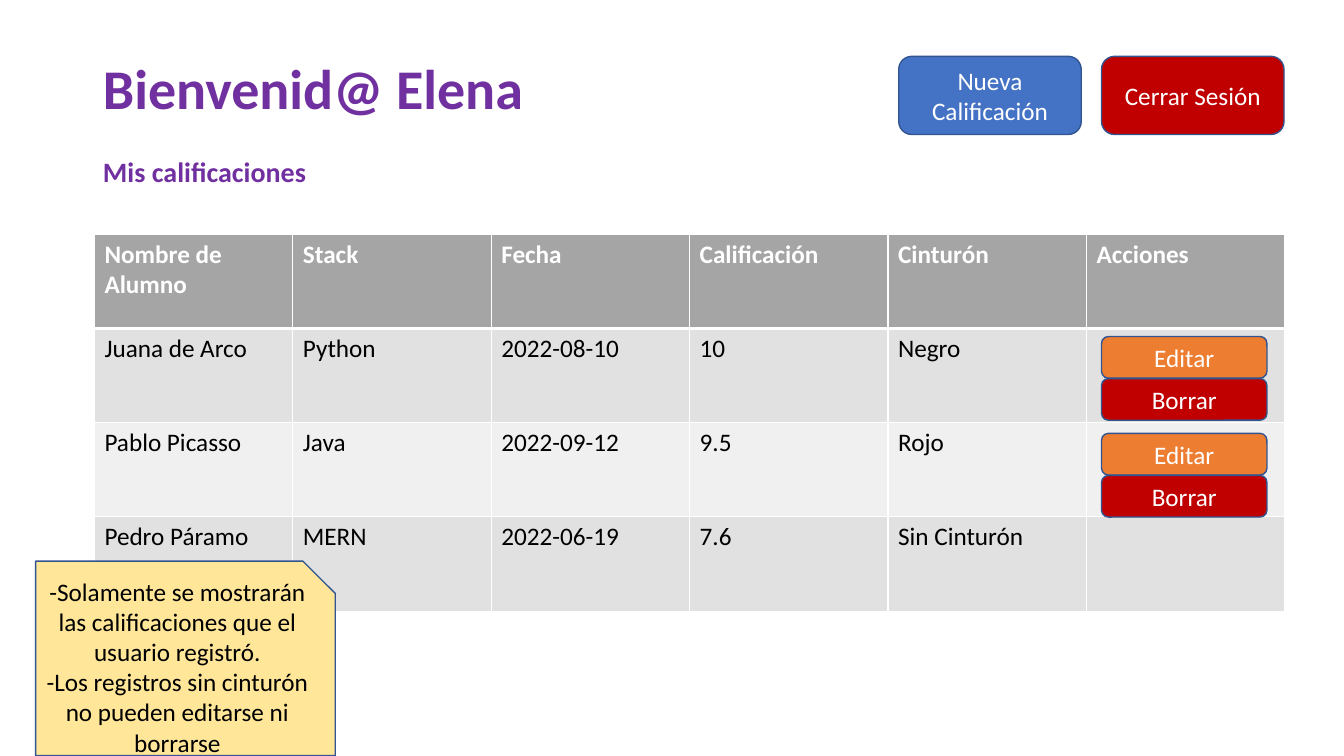
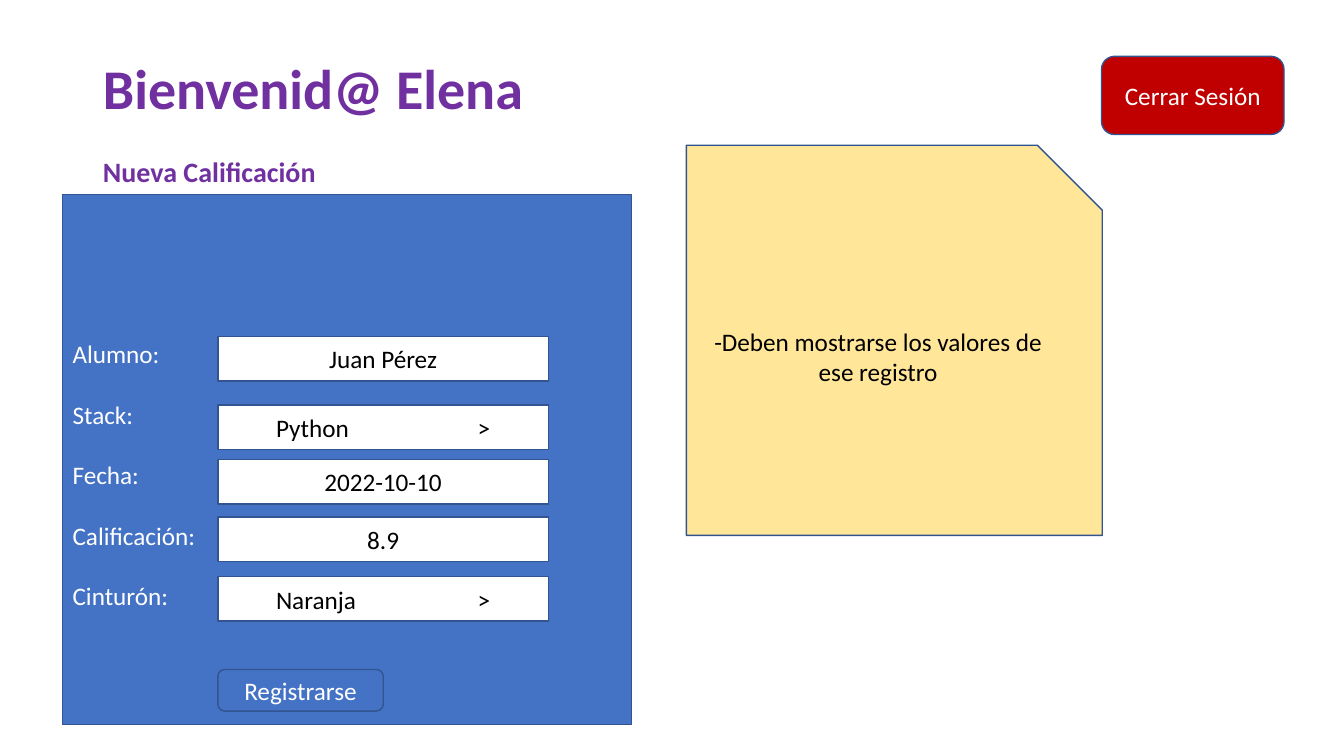
import dataclasses
import typing

import lxml.etree
import pptx
import pptx.dml.color
import pptx.enum.shapes
import pptx.enum.text
import pptx.oxml.ns
import pptx.shapes.autoshape
import pptx.slide
import pptx.table
import pptx.text.text
import pptx.util

Cm = pptx.util.Cm
Pt = pptx.util.Pt
Kind = pptx.enum.shapes.MSO_SHAPE
Align = pptx.enum.text.PP_ALIGN
Anchor = pptx.enum.text.MSO_ANCHOR


@dataclasses.dataclass(frozen=True)
class Theme:
    font: str = "Calibri"
    title_size: float = 40
    subtitle_size: float = 20
    body_size: float = 18
    outline_width: float = 1
    border_width: float = 1
    header_border_width: float = 3
    purple: str = "7030A0"
    blue: str = "4472C4"
    red: str = "C00000"
    orange: str = "ED7D31"
    note_yellow: str = "FFE699"
    outline: str = "325491"
    white: str = "FFFFFF"
    black: str = "000000"
    header_gray: str = "A5A5A5"
    bands: tuple[str, str] = ("E1E1E1", "F0F0F0")


THEME = Theme()


@dataclasses.dataclass(frozen=True)
class Box:
    left: float
    top: float
    width: float
    height: float

    def lengths(self) -> dict[str, int]:
        return {name: Cm(value) for name, value in dataclasses.asdict(self).items()}


@dataclasses.dataclass(frozen=True)
class Block:
    box: Box
    lines: tuple[str, ...]
    fill: str
    color: str = THEME.white
    kind: Kind = Kind.ROUNDED_RECTANGLE
    alignment: Align = Align.CENTER
    line_gap: float = 0
    margin_top: float = 0.13


def apply_format(target: typing.Any, values: dict[str, typing.Any]) -> None:
    for name, value in values.items():
        setattr(target, name, value)


def rgb(color: str) -> pptx.dml.color.RGBColor:
    return pptx.dml.color.RGBColor.from_string(color)


def write_run(paragraph: pptx.text.text._Paragraph, text: str, color: str,
              size: float = THEME.body_size, bold: bool = False) -> None:
    run = paragraph.add_run()
    run.text = text
    apply_format(run.font, {"name": THEME.font, "size": Pt(size), "bold": bold})
    run.font.color.rgb = rgb(color)


def add_tab_stop(paragraph: pptx.text.text._Paragraph, position: float) -> None:
    qn = pptx.oxml.ns.qn
    properties = paragraph._p.get_or_add_pPr()
    tabs = lxml.etree.SubElement(properties, qn("a:tabLst"))
    lxml.etree.SubElement(tabs, qn("a:tab"), pos=str(Cm(position)), algn="l")


def draw_block(slide: pptx.slide.Slide, block: Block) -> None:
    shape = slide.shapes.add_shape(block.kind, **block.box.lengths())
    shape.shadow.inherit = False
    shape.fill.solid()
    shape.fill.fore_color.rgb = rgb(block.fill)
    shape.line.color.rgb = rgb(THEME.outline)
    shape.line.width = Pt(THEME.outline_width)
    frame = shape.text_frame
    apply_format(frame, {"word_wrap": True, "vertical_anchor": Anchor.MIDDLE,
                         "margin_top": Cm(block.margin_top)})
    for index, line in enumerate(block.lines):
        paragraph = frame.add_paragraph() if index else frame.paragraphs[0]
        paragraph.alignment = block.alignment
        if index and block.line_gap:
            paragraph.space_before = Pt(block.line_gap)
        if "\t" in line:
            add_tab_stop(paragraph, 5.08)
        write_run(paragraph, line, block.color)


def add_titled_slide(presentation: pptx.presentation.Presentation,
                     subtitle: str) -> pptx.slide.Slide:
    slide = presentation.slides.add_slide(
        presentation.slide_layouts.get_by_name("Title Only"))
    title = slide.shapes.title
    apply_format(title, Box(2.34, 1.22, 12.07, 3.68).lengths())
    frame = title.text_frame
    apply_format(frame, {"word_wrap": True, "vertical_anchor": Anchor.TOP,
                         "auto_size": pptx.enum.text.MSO_AUTO_SIZE.NONE})
    heading, subheading = frame.paragraphs[0], frame.add_paragraph()
    heading.alignment = subheading.alignment = Align.LEFT
    subheading.space_before = Pt(24)
    write_run(heading, "Bienvenid@ Elena", THEME.purple, THEME.title_size, True)
    write_run(subheading, subtitle, THEME.purple, THEME.subtitle_size, True)
    draw_block(slide, header_button(27.76, "Cerrar Sesión", THEME.red))
    return slide


def header_button(left: float, text: str, fill: str) -> Block:
    return Block(Box(left, 1.42, 4.6, 1.97), (text,), fill)


def small_button(left: float, top: float, text: str, fill: str) -> Block:
    return Block(Box(left, top, 4.17, 1.05), (text,), fill)


def form_field(top: float, text: str) -> Block:
    return Block(Box(5.49, top, 8.33, 1.12), (text,), THEME.white, THEME.black,
                 Kind.RECTANGLE)


def note(box: Box, *lines: str) -> Block:
    return Block(box, lines, THEME.note_yellow, THEME.black, Kind.SNIP_1_RECTANGLE)


def set_borders(cell: pptx.table._Cell, widths: dict[str, float]) -> None:
    qn = pptx.oxml.ns.qn
    properties = cell._tc.get_or_add_tcPr()
    for side, width in widths.items():
        line = lxml.etree.SubElement(properties, qn(f"a:ln{side}"), w=str(Pt(width)))
        fill = lxml.etree.SubElement(line, qn("a:solidFill"))
        lxml.etree.SubElement(fill, qn("a:srgbClr"), val=THEME.white)


def draw_table(slide: pptx.slide.Slide, box: Box,
               rows: tuple[tuple[str, ...], ...]) -> None:
    column_count = len(rows[0])
    table = slide.shapes.add_table(len(rows), column_count, **box.lengths()).table
    for column in table.columns:
        column.width = Cm(box.width / column_count)
    for row_index, texts in enumerate(rows):
        table.rows[row_index].height = Cm(box.height / len(rows))
        is_header = row_index == 0
        fill = THEME.header_gray if is_header else THEME.bands[(row_index - 1) % 2]
        widths = dict.fromkeys("LRTB", THEME.border_width)
        if row_index < 2:
            widths["B" if is_header else "T"] = THEME.header_border_width
        for column_index, text in enumerate(texts):
            cell = table.cell(row_index, column_index)
            set_borders(cell, widths)
            cell.fill.solid()
            cell.fill.fore_color.rgb = rgb(fill)
            if text:
                write_run(cell.text_frame.paragraphs[0], text,
                          THEME.white if is_header else THEME.black, bold=is_header)


GRADES = (
    ("Nombre de Alumno", "Stack", "Fecha", "Calificación", "Cinturón", "Acciones"),
    ("Juana de Arco", "Python", "2022-08-10", "10", "Negro", ""),
    ("Pablo Picasso", "Java", "2022-09-12", "9.5", "Rojo", ""),
    ("Pedro Páramo", "MERN", "2022-06-19", "7.6", "Sin Cinturón", ""),
)

FORM_FIELDS = (
    form_field(8.48, "Juan Pérez"),
    form_field(10.21, "Python\t>"),
    form_field(11.58, "2022-10-10"),
    form_field(13.03, "8.9"),
    form_field(14.53, "Naranja\t>"),
)


def build_grades_slide(presentation: pptx.presentation.Presentation) -> None:
    slide = add_titled_slide(presentation, "Mis calificaciones")
    draw_block(slide, header_button(22.65, "Nueva Calificación", THEME.blue))
    draw_table(slide, Box(2.38, 5.9, 30, 9.5), GRADES)
    for top in (8.48, 10.92):
        draw_block(slide, small_button(27.76, top, "Editar", THEME.orange))
        draw_block(slide, small_button(27.76, top + 1.06, "Borrar", THEME.red))
    draw_block(slide, note(
        Box(0.9, 14.14, 7.55, 4.9),
        "-Solamente se mostrarán las calificaciones que el usuario registró.",
        "-Los registros sin cinturón no pueden editarse ni borrarse"))


def build_form_slide(presentation: pptx.presentation.Presentation) -> None:
    slide = add_titled_slide(presentation, "Nueva Calificación")
    labels = ("Alumno:", "Stack:", "Fecha:", "Calificación:", "Cinturón:")
    draw_block(slide, Block(Box(1.58, 4.9, 14.33, 13.36), labels, THEME.blue,
                            kind=Kind.RECTANGLE, alignment=Align.LEFT,
                            line_gap=21.6, margin_top=0.89))
    for field in FORM_FIELDS:
        draw_block(slide, field)
    draw_block(slide, small_button(5.49, 16.87, "Registrarse", THEME.blue))
    draw_block(slide, note(Box(17.3, 3.66, 10.48, 9.83),
                           "-Deben mostrarse los valores de ese registro"))


def main() -> None:
    presentation = pptx.Presentation()
    apply_format(presentation, {"slide_width": Cm(33.87), "slide_height": Cm(19.05)})
    build_grades_slide(presentation)
    build_form_slide(presentation)
    presentation.save("out.pptx")


main()
